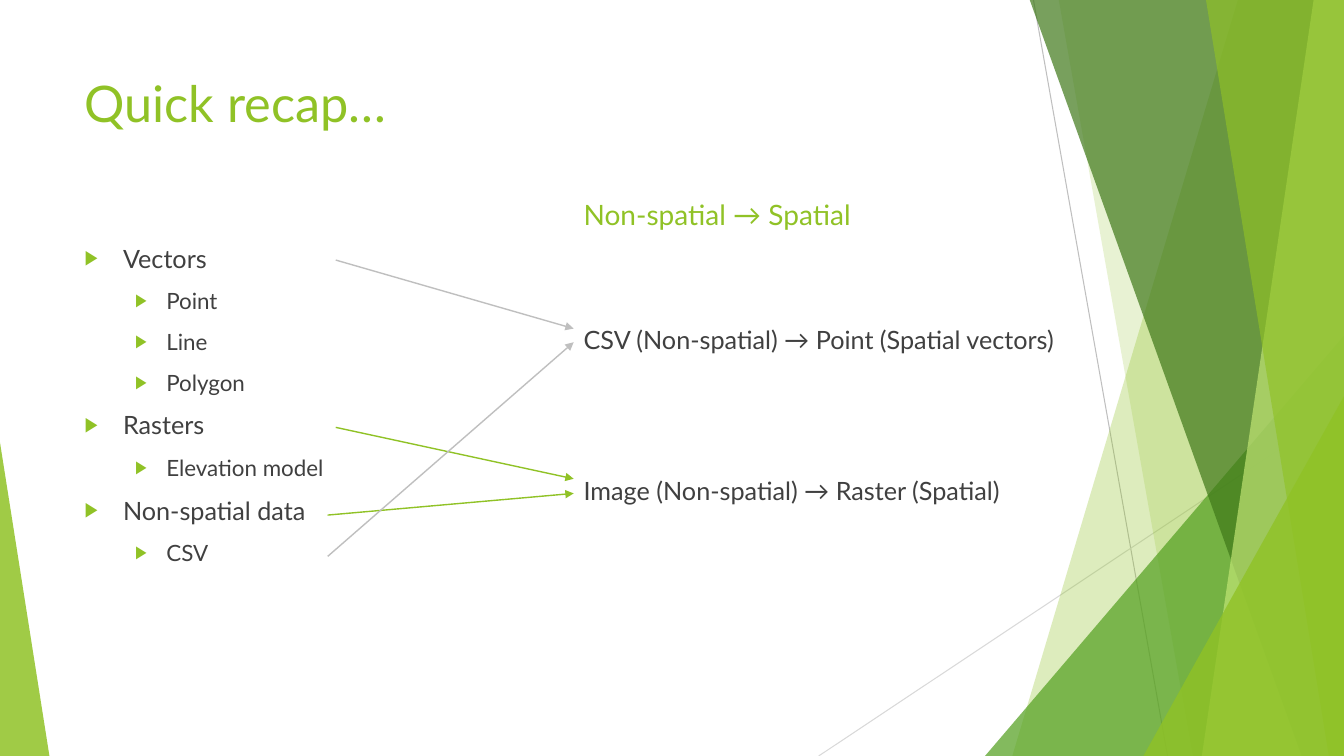
from lxml.etree import SubElement as Sub
from pptx import Presentation
from pptx.dml.color import RGBColor as Rgb
from pptx.enum.shapes import MSO_CONNECTOR as Conn, MSO_SHAPE as Shape
from pptx.enum.text import MSO_ANCHOR as Anchor, MSO_AUTO_SIZE as Auto, PP_ALIGN as Align
from pptx.oxml.ns import qn
from pptx.util import Pt

PX = 9144  # 100 px to the inch
WIDE, HIGH = 1333, 750
FONT = "Lato"
HUES = {"lime": "90C226", "leaf": "54A021", "pine": "3F7819", "pale": "C0E474",
        "text": "404040", "grey": "BFBFBF", "mist": "D9D9D9"}

# Content
TITLE = ("Quick recap…", (74, 67, 940, 76), 36, "lime")
HEAD = ("Non-spatial → Spatial", (569, 191, 463, 45), 20, "lime")
LIST_BOX = (74, 236, 447, 424)
LIST = [(0, "Vectors"), (1, "Point"), (1, "Line"), (1, "Polygon"),
        (0, "Rasters"), (1, "Elevation model"),
        (0, "Non-spatial data"), (1, "CSV")]
LEVELS = [(18, 38, 38), (16, 81, 31)]  # size, margin, hang
NOTES = {
    "csv": ("CSV (Non-spatial) → Point (Spatial vectors)", (569, 317, 505, 45), 18, "text"),
    "image": ("Image (Non-spatial) → Raster (Spatial)", (569, 467, 505, 45), 18, "text"),
}
# start, end, colour, note joined at its left side
ARROWS = [((325, 511), (569, 489), "lime", "image"),
          ((333, 424), (569, 475), "lime", None),
          ((325, 552), (569, 340), "grey", "csv"),
          ((333, 258), (569, 326), "grey", None)]

# Backdrop
RAYS = [((1025, 0), (1158, HIGH), "grey"), ((WIDE, 403), (812, HIGH), "mist")]
# Bands: top left x, bottom left x, colour, opacity; all reach the right edge
# Peaks: box, apex, colour, opacity
SHARDS = [((1228, 1004), "lime", 30), ((1050, 1183), "lime", 20),
          ((977, 333, 356, 417), 1, "leaf", 72),
          ((1021, 1291), "pine", 70), ((1303, 1192), "pale", 70),
          ((1196, 1318), "lime", 65),
          ((1134, 393, 199, 357), 1, "lime", 80),
          ((0, 439, 49, 311), 0, "lime", 85)]


def hue(name):
    return Rgb.from_string(HUES[name])


def emu(nums):
    return [n * PX for n in nums]


def paint(shape, color, clear):
    shape.shadow.inherit = False
    shape.line.fill.background()
    shape.fill.solid()
    shape.fill.fore_color.rgb = hue(color)
    tint = shape.fill._xPr.find(qn("a:solidFill"))[0]
    Sub(tint, qn("a:alpha"), val=str(clear * 1000))


def draw_line(start, end, color, width):
    line = shapes.add_connector(Conn.STRAIGHT, *emu(start + end))
    line.line.color.rgb = hue(color)
    line.line.width = Pt(width)
    Sub(line._element.spPr, qn("a:effectLst"))
    return line


def place(shape, box):
    shape.left, shape.top, shape.width, shape.height = emu(box)
    frame = shape.text_frame
    frame.word_wrap = True
    frame.auto_size = Auto.NONE
    frame.vertical_anchor = Anchor.TOP
    return frame


def write(para, text, size, color):
    para.alignment = Align.LEFT
    run = para.add_run()
    run.text = text
    run.font.name, run.font.size = FONT, Pt(size)
    run.font.color.rgb = hue(color)


def fill_box(shape, text, box, size, color):
    write(place(shape, box).paragraphs[0], text, size, color)
    return shape


def add_note(text, box, size, color):
    return fill_box(shapes.add_textbox(*emu(box)), text, box, size, color)


def add_bullet(para, margin, hang):
    props = para._p.get_or_add_pPr()
    props.set("marL", str(margin * PX))
    props.set("indent", str(-hang * PX))
    tint = Sub(props, qn("a:buClr"))
    Sub(tint, qn("a:srgbClr"), val=HUES["lime"])
    Sub(props, qn("a:buSzPct"), val="80000")
    Sub(props, qn("a:buChar"), char="▶")


deck = Presentation()
deck.slide_width, deck.slide_height = emu((WIDE, HIGH))
slide = deck.slides.add_slide(deck.slide_layouts[1])
shapes = slide.shapes
title, body = shapes.title, slide.placeholders[1]

# Backdrop of rays and shards
for start, end, color in RAYS:
    draw_line(start, end, color, 0.75)
for shard in SHARDS:
    *form, color, clear = shard
    if len(form) == 1:
        top, foot = form[0]
        path = shapes.build_freeform(top, -1, scale=PX)
        path.add_line_segments([(WIDE, -1), (WIDE, HIGH), (foot, HIGH)], close=True)
        shape = path.convert_to_shape()
    else:
        box, apex = form
        shape = shapes.add_shape(Shape.ISOSCELES_TRIANGLE, *emu(box))
        shape.adjustments[0] = apex
    paint(shape, color, clear)

# Title and list, brought in front of the backdrop
for holder in (title, body):
    shapes._spTree.append(holder._element)
fill_box(title, *TITLE)
frame = place(body, LIST_BOX)
for i, (level, text) in enumerate(LIST):
    para = frame.add_paragraph() if i else frame.paragraphs[0]
    size, margin, hang = LEVELS[level]
    para.level = level
    para.space_before = Pt(10 if i else 0)
    add_bullet(para, margin, hang)
    write(para, text, size, "text")

# Notes and the arrows that lead to them
notes = {key: add_note(*note) for key, note in NOTES.items()}
for start, end, color, goal in ARROWS:
    arrow = draw_line(start, end, color, 1)
    Sub(arrow.line._get_or_add_ln(), qn("a:tailEnd"), type="triangle")
    if goal:
        arrow.end_connect(notes[goal], 1)
add_note(*HEAD)

deck.save("out.pptx")
